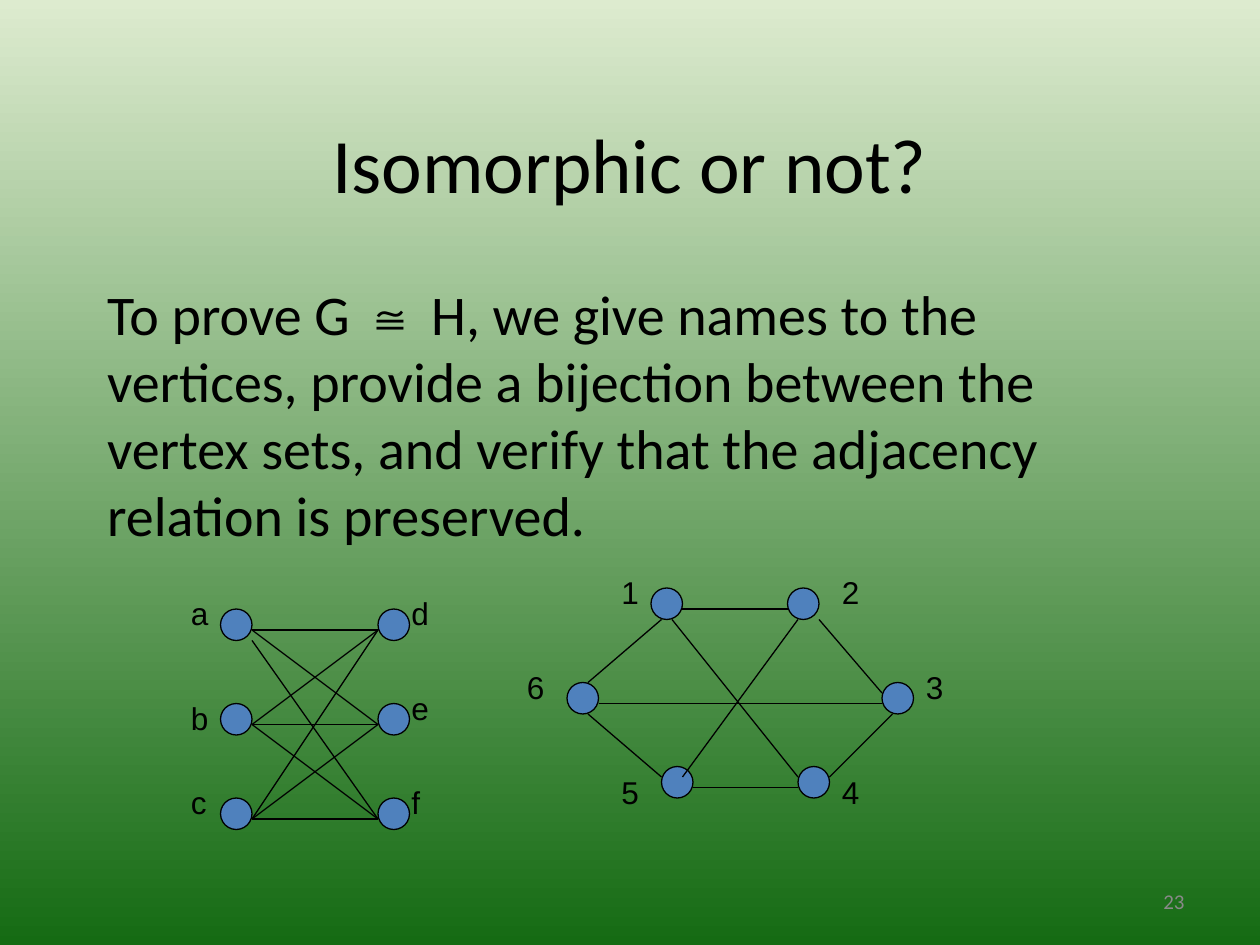
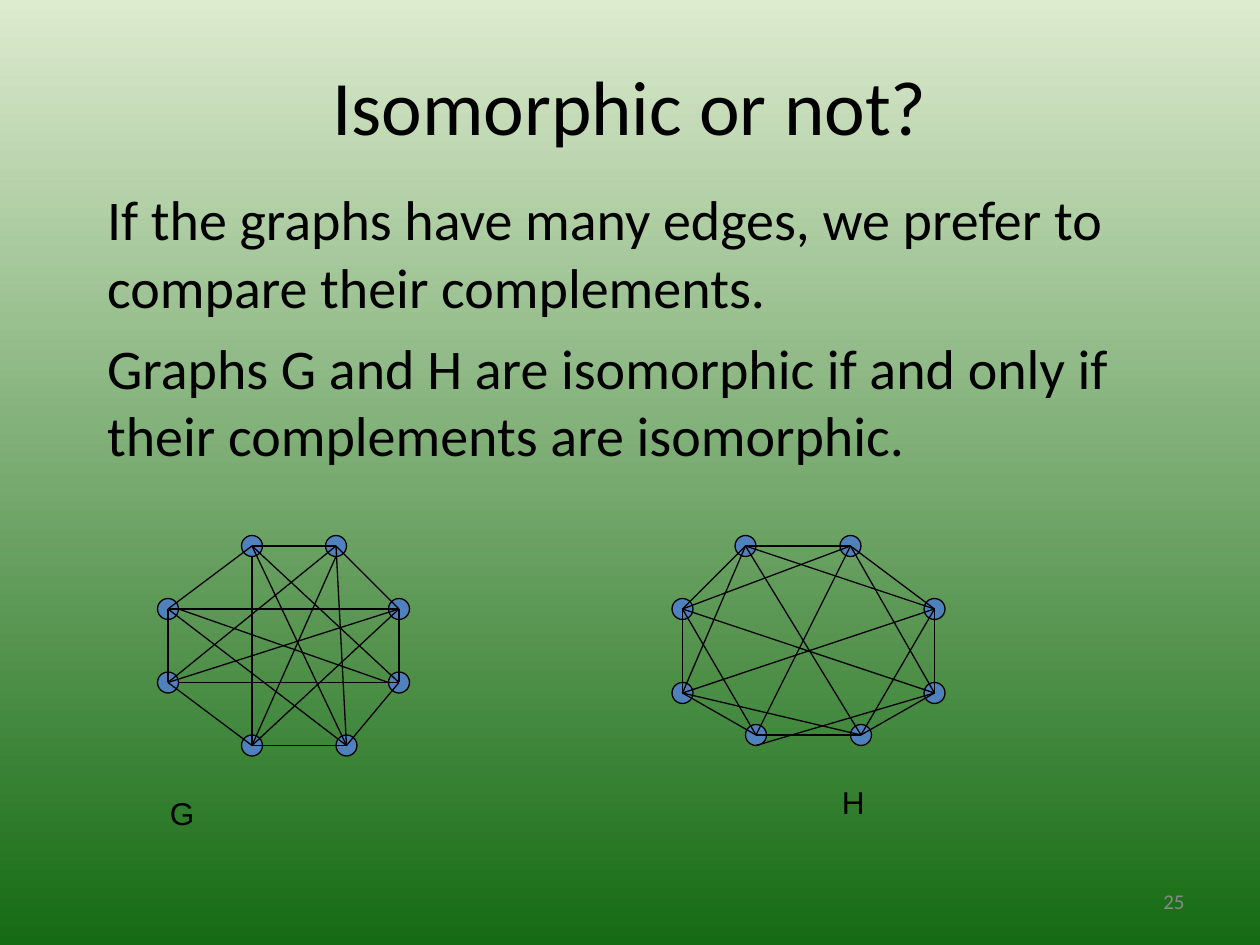
from pptx import Presentation
from pptx.dml.color import RGBColor
from pptx.enum.shapes import MSO_CONNECTOR, MSO_SHAPE
from pptx.enum.text import MSO_ANCHOR, MSO_AUTO_SIZE, PP_ALIGN
from pptx.oxml.ns import qn
from pptx.util import Pt
from lxml.etree import SubElement

COLORS = {"sky": "DDEBCF", "grass": "156B13", "node": "4F81BD", "ink": "000000", "number": "898989"}

SIDE_TO_SIDE = ((9, 3), (-9, 3))
CENTRE_TO_CENTRE = ((0, 0), (0, 0))

BIPARTITE = {
    "nodes": {name: (135 + 90 * column, 357 + 54 * row)
              for column, names in enumerate(("abc", "def")) for row, name in enumerate(names)},
    "edges": [left + right for left in "abc" for right in "def"],
    "ends": {"af": ((9, 9), (-9, 3))},
    "default_ends": SIDE_TO_SIDE,
    "diameter": 18,
}
HEXAGON = {
    "nodes": {"1": (381, 345), "2": (459, 345), "3": (513, 399),
              "4": (465, 447), "5": (387, 447), "6": (333, 399)},
    "edges": "63 25 14 16 65 54 12 23 43".split(),
    "ends": {"25": ((-3, 9), (3, -3)), "14": ((3, 9), (-9, -3)), "16": ((-3, 9), (3, -9)),
             "65": ((3, 9), (-9, -3)), "23": ((9, 9), (-9, -3)), "43": ((9, -3), (-3, 9))},
    "default_ends": SIDE_TO_SIDE,
    "diameter": 18,
}
GRAPH_G = {
    "nodes": {"a": (144, 312), "b": (192, 312), "c": (228, 348), "d": (228, 390),
              "e": (198, 426), "f": (144, 426), "g": (96, 390), "h": (96, 348)},
    "edges": "ah hg gf fe ed dc cb ab ad he bg cf ae af bf be cg ch dh dg".split(),
    "ends": {"af": ((0, 6), (0, 0)), "bf": ((0, 6), (0, 0)),
             "dh": ((-6, 0), (6, 0)), "dg": ((0, 0), (6, 0))},
    "default_ends": CENTRE_TO_CENTRE,
    "diameter": 12,
}
GRAPH_H = {
    "nodes": {"a": (426, 312), "b": (486, 312), "c": (534, 348), "d": (534, 396),
              "e": (492, 420), "f": (432, 420), "g": (390, 396), "h": (390, 348)},
    "edges": "gh ab cd ef ah gf ed cb ae bf hd cg hf fd db bh ag ge ec ca".split(),
    "ends": {"fd": ((0, 6), (0, 0))},
    "default_ends": CENTRE_TO_CENTRE,
    "diameter": 12,
}

PAGES = [
    {
        "number": "23",
        "title": "Isomorphic or not?",
        "title_top": 63,
        "body": [[("To prove G ", "Calibri"), ("≅", "Arial"),
                  (" H, we give names to the vertices, provide a bijection between the vertex sets, "
                   "and verify that the adjacency relation is preserved.", "Calibri")]],
        "body_area": (54, 156, 612, 162),
        "graphs": [BIPARTITE, HEXAGON],
        "labels": [("a", 102, 336, 30), ("b", 102, 396, 30), ("c", 102, 444, 30),
                   ("d", 228, 336, 30), ("e", 228, 390, 30), ("f", 228, 444, 30),
                   ("1", 348, 324, 24), ("2", 474, 324, 24), ("3", 522, 378, 24),
                   ("4", 474, 438, 24), ("5", 348, 438, 24), ("6", 294, 378, 24)],
    },
    {
        "number": "25",
        "title": "Isomorphic or not?",
        "title_top": 30,
        "body": [[("If the graphs have many edges, we prefer to compare their complements.", "Calibri")],
                 [("Graphs G and H are isomorphic if and only if their complements are isomorphic.",
                   "Calibri")]],
        "body_area": (54, 102, 612, 174),
        "graphs": [GRAPH_G, GRAPH_H],
        "labels": [("G", 90, 450, 48), ("H", 474, 444, 42)],
    },
]


def color(name):
    return RGBColor.from_string(COLORS[name])


def place(shape, left, top, width, height):
    shape.left, shape.top, shape.width, shape.height = Pt(left), Pt(top), Pt(width), Pt(height)


def write(para, text, *, font="Calibri", size=32, ink="ink", align=PP_ALIGN.LEFT):
    para.alignment = align
    span = para.add_run()
    span.text = text
    span.font.name = font
    span.font.size = Pt(size)
    span.font.color.rgb = color(ink)


def add_label(page, text, area, anchor=MSO_ANCHOR.TOP, **text_format):
    box = page.shapes.add_textbox(*map(Pt, area))
    box.text_frame.word_wrap = True
    box.text_frame.vertical_anchor = anchor
    write(box.text_frame.paragraphs[0], text, **text_format)


def set_background(master):
    fill = master.background.fill
    fill.gradient()
    fill.gradient_angle = 270
    for stop, position, name in zip(fill.gradient_stops, (0, 1), ("sky", "grass")):
        stop.position = position
        stop.color.rgb = color(name)


def fill_title(title, text, top):
    place(title, 54, top, 612, 60)
    title.text_frame.auto_size = MSO_AUTO_SIZE.NONE
    title.text_frame.vertical_anchor = MSO_ANCHOR.MIDDLE
    write(title.text_frame.paragraphs[0], text, size=44, align=PP_ALIGN.CENTER)


def fill_body(body, paragraphs, area):
    place(body, *area)
    frame = body.text_frame
    frame.auto_size = MSO_AUTO_SIZE.NONE
    for index, spans in enumerate(paragraphs):
        para = frame.add_paragraph() if index else frame.paragraphs[0]
        properties = para._p.get_or_add_pPr()
        properties.set("marL", "0")
        properties.set("indent", "0")
        SubElement(properties, qn("a:buNone"))
        para.space_before = Pt(8 if index else 0)
        for text, font in spans:
            write(para, text, font=font)


def outline(shape):
    shape.line.color.rgb = color("ink")
    shape.line.width = Pt(0.75)


def draw_graph(page, graph):
    nodes, diameter = graph["nodes"], graph["diameter"]
    for x, y in nodes.values():
        node = page.shapes.add_shape(MSO_SHAPE.OVAL, Pt(x - diameter / 2), Pt(y - diameter / 2),
                                     Pt(diameter), Pt(diameter))
        node.shadow.inherit = False
        node.fill.solid()
        node.fill.fore_color.rgb = color("node")
        outline(node)
    for names in graph["edges"]:
        shifts = graph["ends"].get(names, graph["default_ends"])
        ends = [Pt(nodes[name][axis] + shift[axis])
                for name, shift in zip(names, shifts) for axis in (0, 1)]
        edge = page.shapes.add_connector(MSO_CONNECTOR.STRAIGHT, *ends)
        outline(edge)
        SubElement(edge._element.spPr, qn("a:effectLst"))


def build_page(deck, content):
    page = deck.slides.add_slide(deck.slide_layouts[1])
    add_label(page, content["number"], (516, 500.4, 168, 28.8), MSO_ANCHOR.MIDDLE,
              size=12, ink="number", align=PP_ALIGN.RIGHT)
    fill_title(page.shapes.title, content["title"], content["title_top"])
    fill_body(page.placeholders[1], content["body"], content["body_area"])
    for graph in content["graphs"]:
        draw_graph(page, graph)
    for text, left, top, width in content["labels"]:
        add_label(page, text, (left, top, width, 28.8), font="Arial", size=18)


def main():
    deck = Presentation()
    deck.slide_width, deck.slide_height = Pt(720), Pt(540)
    set_background(deck.slide_master)
    for content in PAGES:
        build_page(deck, content)
    deck.save("out.pptx")


if __name__ == "__main__":
    main()
